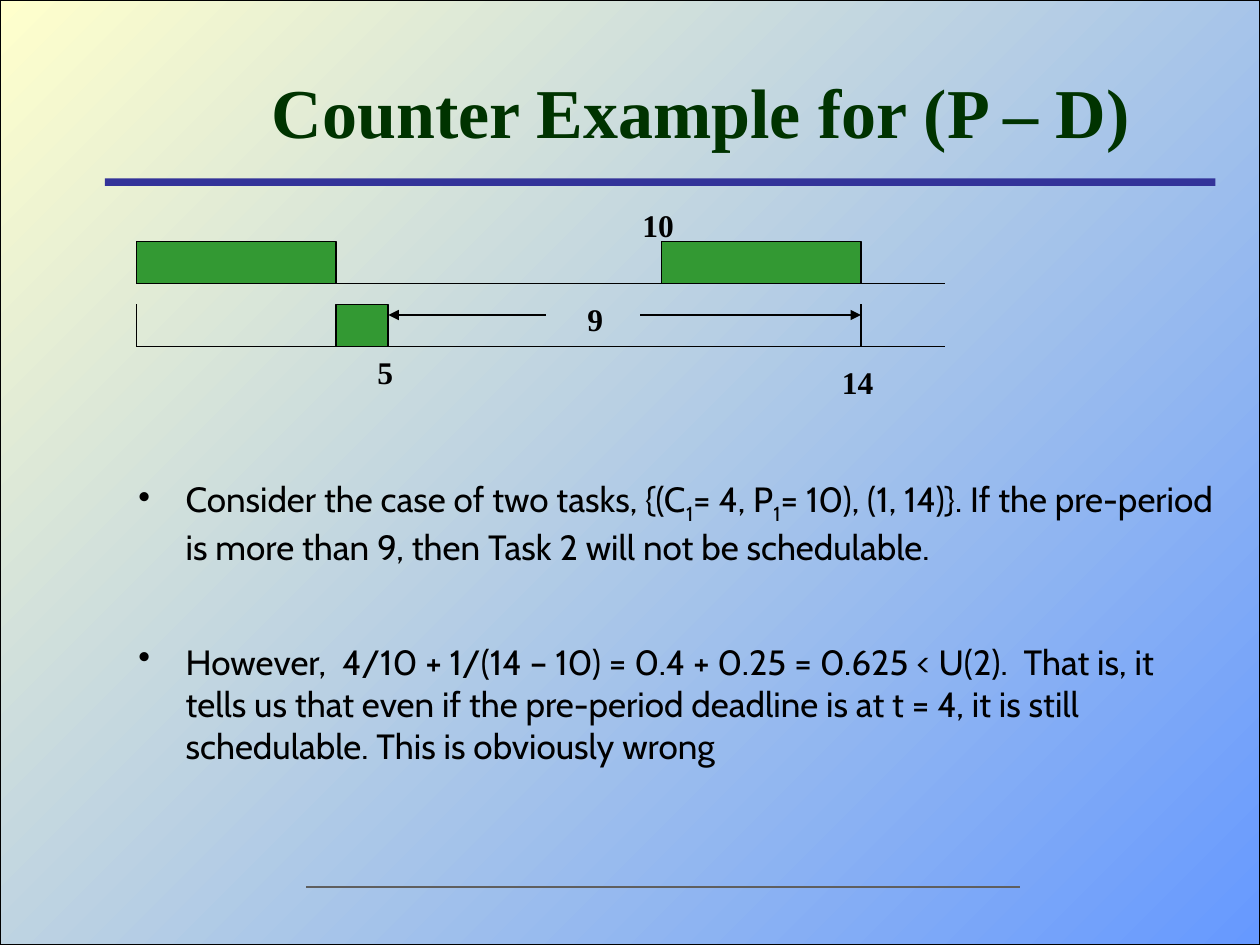
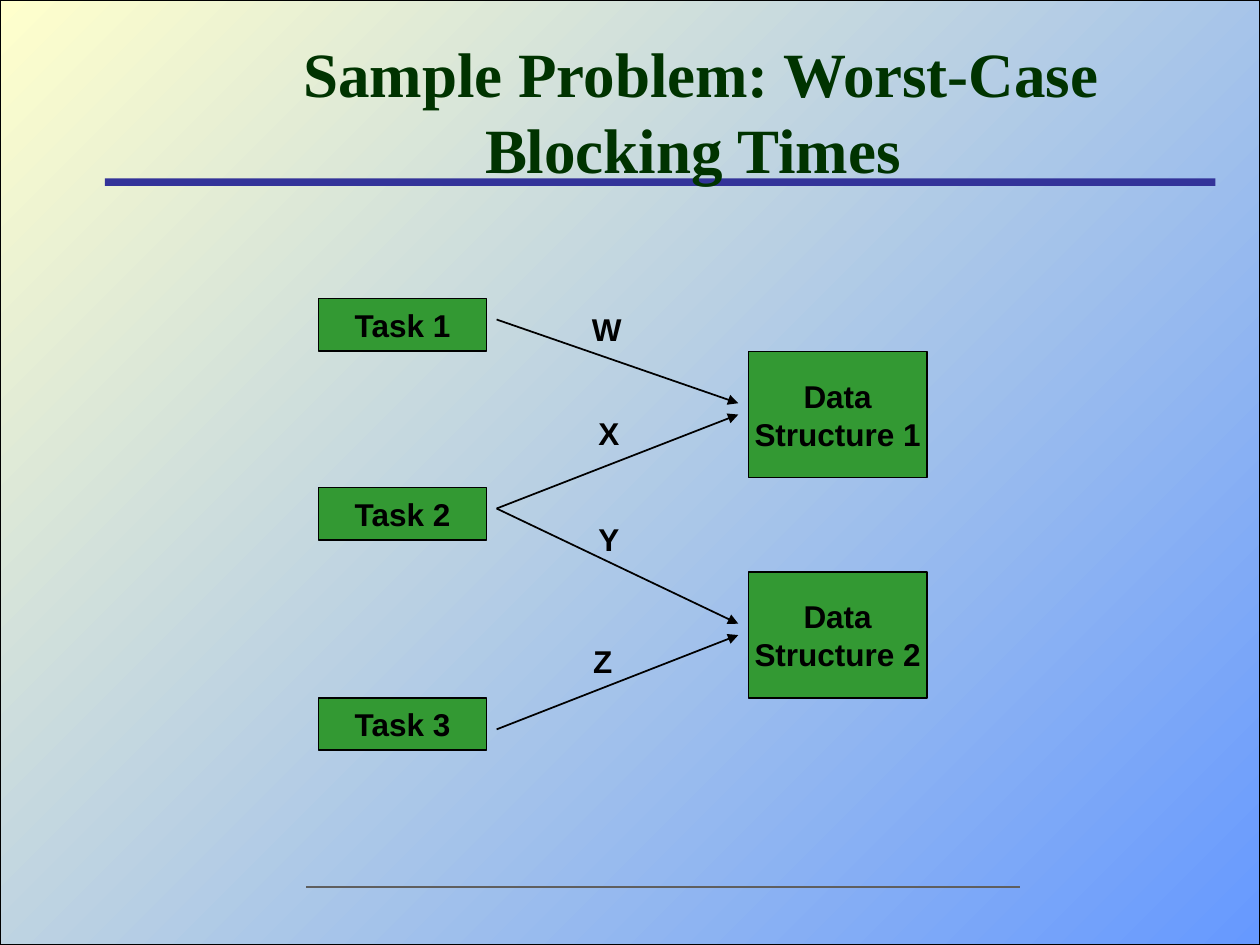
from dataclasses import dataclass

import pptx
import pptx.dml.color
import pptx.enum.shapes
import pptx.enum.text
import pptx.util
from lxml import etree
from pptx.oxml.ns import qn

Pt = pptx.util.Pt
RECTANGLE = pptx.enum.shapes.MSO_SHAPE.RECTANGLE
STRAIGHT = pptx.enum.shapes.MSO_CONNECTOR.STRAIGHT
MIDDLE = pptx.enum.text.MSO_ANCHOR.MIDDLE
CENTER = pptx.enum.text.PP_ALIGN.CENTER


@dataclass(frozen=True)
class Theme:
    backdrop_start: str = "6699FF"
    backdrop_end: str = "FFFFCC"
    band: str = "333399"
    footer: str = "5F5F5F"
    title: str = "003300"
    block: str = "339933"
    ink: str = "000000"
    serif: str = "Times New Roman"
    sans: str = "Arial"
    body: str = "Cabin"
    body_size: float = 20
    label_size: float = 18
    thin: float = 1


THEME = Theme()
WIDTH, HEIGHT = 720, 540

COUNTER_TITLE = ("Counter Example for (P – D)", 40)
BULLETS = [
    [("Consider the case of two tasks, {(C", False), ("1", True), ("= 4, P", False), ("1", True),
     ("= 10), (1, 14)}. If the pre-period is more than 9, then Task 2 will not be schedulable.", False)],
    [("However,  4/10 + 1/(14 – 10) = 0.4 + 0.25 = 0.625 < U(2).  That is, it tells us that even if "
      "the pre-period deadline is at t = 4, it is still schedulable. This is obviously wrong", False)],
]
BULLET_GAP = 41.6
BULLET_INDENT = 27

TIMELINE_START, TIMELINE_END = 78, 540
TICK_HEIGHT = 24
TIMELINES = [
    {"baseline": 162, "ticks": [78, 378], "blocks": [(78, 114), (378, 114)]},
    {"baseline": 198, "ticks": [78, 492], "blocks": [(192, 30)]},
]
TIME_LABELS = [("10", 360, 114), ("14", 474, 204), ("5", 208.5, 198), ("9", 328.5, 168)]
PERIOD_ARROWS = [((312, 180), (222, 180)), ((366, 180), (492, 180))]

SAMPLE_TITLE = ("Sample Problem: Worst-Case Blocking Times ", 36)
TASK_LEFT, TASK_WIDTH, TASK_HEIGHT = 182, 96, 30
TASKS = {"Task 1": 170.6, "Task 2": 278.6, "Task 3": 398.8}
DATA_LEFT, DATA_WIDTH, DATA_HEIGHT = 427.7, 102, 72
DATA = {"Data\nStructure 1": 200.9, "Data\nStructure 2": 326.9}
ARROW_GAP = 5.8
ACCESSES = [
    ("W", "Task 1", 12, "Data\nStructure 1", -6.5, (331.2, 173.5, 31)),
    ("X", "Task 2", 12, "Data\nStructure 1", 0, (334.8, 233.3, 26)),
    ("Y", "Task 2", 12, "Data\nStructure 2", -6.5, (334.8, 293.8, 26)),
    ("Z", "Task 3", 18, "Data\nStructure 2", 0, (331.9, 363.6, 25)),
]


def color(value):
    return pptx.dml.color.RGBColor.from_string(value)


def style_font(paragraph, family, size, tint=THEME.ink, bold=True):
    font = paragraph.font
    font.name = family
    font.size = Pt(size)
    font.bold = bold
    font.color.rgb = color(tint)


def add_rectangle(slide, left, top, width, height, fill, line_width=None):
    shape = slide.shapes.add_shape(RECTANGLE, Pt(left), Pt(top), Pt(width), Pt(height))
    shape.shadow.inherit = False
    if fill:
        shape.fill.solid()
        shape.fill.fore_color.rgb = color(fill)
    if line_width:
        shape.line.color.rgb = color(THEME.ink)
        shape.line.width = Pt(line_width)
    else:
        shape.line.fill.background()
    return shape


def add_line(slide, start, end, tint=THEME.ink, width=THEME.thin, arrow=False):
    connector = slide.shapes.add_connector(STRAIGHT, *map(Pt, start + end))
    connector.line.color.rgb = color(tint)
    connector.line.width = Pt(width)
    if arrow:
        etree.SubElement(connector.line._get_or_add_ln(), qn("a:tailEnd"), type="triangle")
    etree.SubElement(connector._element.spPr, qn("a:effectLst"))


def add_text(slide, left, top, width, height, wrap=True):
    frame = slide.shapes.add_textbox(Pt(left), Pt(top), Pt(width), Pt(height)).text_frame
    frame.word_wrap = wrap
    return frame


def add_label(slide, text, left, top, width, family, wrap=True):
    frame = add_text(slide, left, top, width, 28.8, wrap)
    frame.text = text
    style_font(frame.paragraphs[0], family, THEME.label_size)


def add_box(slide, text, left, top, width, height):
    shape = add_rectangle(slide, left, top, width, height, THEME.block, THEME.thin)
    frame = shape.text_frame
    frame.word_wrap = False
    frame.vertical_anchor = MIDDLE
    frame.text = text
    for paragraph in frame.paragraphs:
        paragraph.alignment = CENTER
        style_font(paragraph, THEME.sans, THEME.label_size)


def add_base_slide(presentation, title, size):
    slide = presentation.slides.add_slide(presentation.slide_layouts[6])
    slide.background.fill.solid()
    slide.background.fill.fore_color.rgb = color(THEME.backdrop_end)
    backdrop = add_rectangle(slide, 0, 0, WIDTH, HEIGHT, None, 0.75)
    backdrop.fill.gradient()
    backdrop.fill.gradient_angle = 135
    for stop, tint in zip(backdrop.fill.gradient_stops, (THEME.backdrop_start, THEME.backdrop_end)):
        stop.color.rgb = color(tint)
    add_rectangle(slide, 60, 102, 634.5, 4.3, THEME.band)
    add_line(slide, (175, 506.8), (583, 506.8), THEME.footer, 1.5)
    frame = add_text(slide, 105, 24, 591, 78)
    frame.vertical_anchor = MIDDLE
    frame.text = title
    frame.paragraphs[0].alignment = CENTER
    style_font(frame.paragraphs[0], THEME.serif, size, THEME.title)
    return slide


def add_bullets(slide):
    frame = add_text(slide, 72, 269.3, 630, 221.8)
    for index, pieces in enumerate(BULLETS):
        paragraph = frame.add_paragraph() if index else frame.paragraphs[0]
        properties = paragraph._p.get_or_add_pPr()
        properties.set("marL", str(Pt(BULLET_INDENT)))
        properties.set("indent", str(-Pt(BULLET_INDENT)))
        bullet_color = etree.SubElement(properties, qn("a:buClr"))
        etree.SubElement(bullet_color, qn("a:srgbClr"), val=THEME.ink)
        etree.SubElement(properties, qn("a:buChar"), char="•")
        if index:
            paragraph.space_before = Pt(BULLET_GAP)
        style_font(paragraph, THEME.body, THEME.body_size, bold=False)
        for text, subscript in pieces:
            run = paragraph.add_run()
            run.text = text
            if subscript:
                run._r.get_or_add_rPr().set("baseline", "-25000")


def build_counter_example(presentation):
    slide = add_base_slide(presentation, *COUNTER_TITLE)
    add_bullets(slide)
    for timeline in TIMELINES:
        baseline = timeline["baseline"]
        top = baseline - TICK_HEIGHT
        add_line(slide, (TIMELINE_START, baseline), (TIMELINE_END, baseline))
        for tick in timeline["ticks"]:
            add_line(slide, (tick, top), (tick, baseline))
        for left, width in timeline["blocks"]:
            add_rectangle(slide, left, top, width, TICK_HEIGHT, THEME.block, THEME.thin)
    for start, end in PERIOD_ARROWS:
        add_line(slide, start, end, arrow=True)
    for text, left, top in TIME_LABELS:
        add_label(slide, text, left, top, 54, THEME.serif)


def build_sample_problem(presentation):
    slide = add_base_slide(presentation, *SAMPLE_TITLE)
    for text, top in DATA.items():
        add_box(slide, text, DATA_LEFT, top, DATA_WIDTH, DATA_HEIGHT)
    for text, top in TASKS.items():
        add_box(slide, text, TASK_LEFT, top, TASK_WIDTH, TASK_HEIGHT)
    for label, task, drop, data, offset, (left, top, width) in ACCESSES:
        start = (TASK_LEFT + TASK_WIDTH + ARROW_GAP, TASKS[task] + drop)
        end = (DATA_LEFT - ARROW_GAP, DATA[data] + DATA_HEIGHT / 2 + offset)
        add_line(slide, start, end, arrow=True)
        add_label(slide, label, left, top, width, THEME.sans, wrap=False)


def main():
    presentation = pptx.Presentation()
    presentation.slide_width = Pt(WIDTH)
    presentation.slide_height = Pt(HEIGHT)
    build_counter_example(presentation)
    build_sample_problem(presentation)
    presentation.save("out.pptx")


if __name__ == "__main__":
    main()
